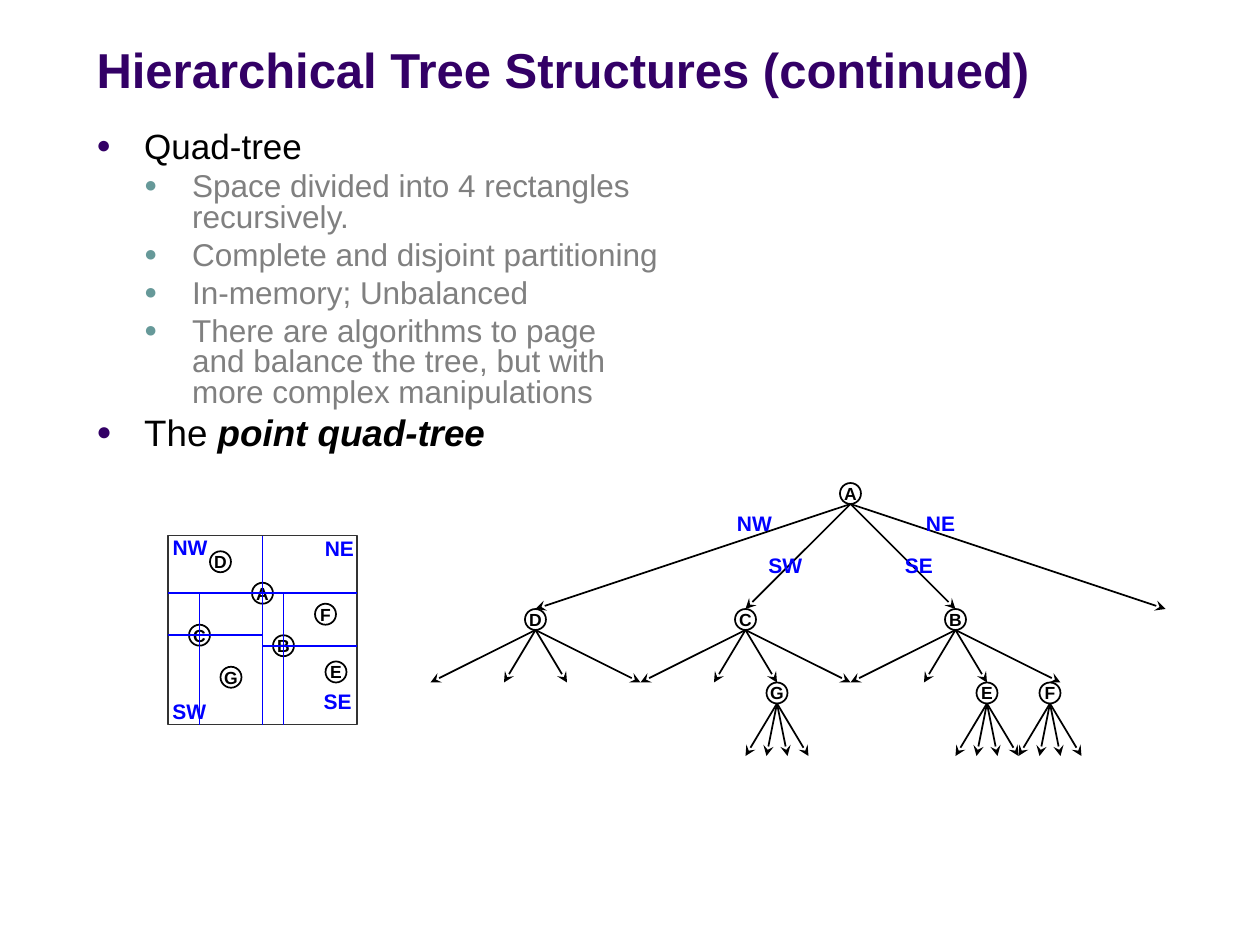
import pptx
import pptx.util
import pptx.dml.color
import pptx.enum.shapes
import pptx.enum.text
import pptx.oxml.ns
from lxml import etree

rgb = pptx.dml.color.RGBColor.from_string
qn = pptx.oxml.ns.qn
Pt = pptx.util.Pt
UNIT = pptx.util.Inches(1) // 12  # the slide is a grid of 120 columns by 90 rows

deck = pptx.Presentation()
deck.slide_width, deck.slide_height = 120 * UNIT, 90 * UNIT
slide = deck.slides.add_slide(deck.slide_layouts[5])
shapes = slide.shapes


def draw_line(start, end, color, arrow=False):
    line = shapes.add_connector(
        pptx.enum.shapes.MSO_CONNECTOR.STRAIGHT, *[int(v * UNIT) for v in (*start, *end)])
    line.line.color.rgb = rgb(color)
    line.line.width = Pt(1)
    if arrow:
        etree.SubElement(line.line._get_or_add_ln(), qn("a:tailEnd"), type="stealth")
    etree.SubElement(line._element.spPr, qn("a:effectLst"))


def draw_node(letter, x, y):
    """Draw a lettered circle centred on column x, row y."""
    node = shapes.add_shape(
        pptx.enum.shapes.MSO_SHAPE.OVAL,
        int((x - 1) * UNIT), int((y - 1) * UNIT), 2 * UNIT, 2 * UNIT)
    node.shadow.inherit = False
    node.fill.background()
    node.line.color.rgb = rgb("000000")
    node.line.width = Pt(1)
    node.text_frame.word_wrap = False
    node.text_frame.vertical_anchor = pptx.enum.text.MSO_ANCHOR.MIDDLE
    caption = node.text_frame.paragraphs[0]
    caption.text = letter
    caption.alignment = pptx.enum.text.PP_ALIGN.CENTER
    caption.font.name, caption.font.size, caption.font.bold = "Arial", Pt(10), True
    caption.font.color.rgb = rgb("000000")


# Title
title = shapes.title
title.left, title.top, title.width, title.height = 8 * UNIT, 4 * UNIT, 99 * UNIT, 6 * UNIT
title.text_frame.vertical_anchor = pptx.enum.text.MSO_ANCHOR.BOTTOM
title.text_frame.auto_size = pptx.enum.text.MSO_AUTO_SIZE.NONE
heading = title.text_frame.paragraphs[0]
heading.text = "Hierarchical Tree Structures (continued)"
heading.alignment = pptx.enum.text.PP_ALIGN.LEFT
heading.font.name, heading.font.size, heading.font.bold = "Arial", Pt(28), True
heading.font.color.rgb = rgb("330066")

# Bullets: level, text, size, space before
points = [
    (0, "Quad-tree", 20, 5),
    (1, "Space divided into 4 rectangles\nrecursively.", 18, 4.5),
    (1, "Complete and disjoint partitioning", 18, 4.5),
    (1, "In-memory; Unbalanced", 18, 4.5),
    (1, "There are algorithms to page\nand balance the tree, but with\nmore complex manipulations",
     18, 4.5),
    (0, "The ", 21, 5.2),
]
level_colors = [("330066", "000000"), ("669999", "808080")]  # bullet, text
body = shapes.add_textbox(8 * UNIT, 12 * UNIT, 90 * UNIT, 34 * UNIT).text_frame
body.word_wrap = True
for number, (level, text, size, space) in enumerate(points):
    point = body.add_paragraph() if number else body.paragraphs[0]
    bullet_color, text_color = level_colors[level]
    point.text = text
    point.level = level
    point.line_spacing = 0.8
    point.space_before = Pt(space)
    indent = pptx.util.Inches(0.38)
    layout = point._p.get_or_add_pPr()
    layout.set("marL", str(indent * (level + 1)))
    layout.set("indent", str(-indent))
    bullet = etree.SubElement(layout, qn("a:buClr"))
    etree.SubElement(bullet, qn("a:srgbClr"), val=bullet_color)
    etree.SubElement(layout, qn("a:buSzPct"), val="70000")
    etree.SubElement(layout, qn("a:buFont"), typeface="Arial")
    etree.SubElement(layout, qn("a:buChar"), char="●")
    point.font.name, point.font.size = "Arial", Pt(size)
    point.font.color.rgb = rgb(text_color)
term = point.add_run()
term.text = "point quad-tree"
term.font.bold = term.font.italic = True

# Partitioned space
space = shapes.add_shape(
    pptx.enum.shapes.MSO_SHAPE.RECTANGLE, 16 * UNIT, 51 * UNIT, 18 * UNIT, 18 * UNIT)
space.shadow.inherit = False
space.fill.background()
space.line.color.rgb = rgb("333333")
space.line.width = Pt(1)

data_points = {"A": (25, 56.5), "D": (21, 53.5), "C": (19, 60.5), "E": (32, 64),
               "B": (27, 61.5), "F": (31, 58.5), "G": (22, 64.5)}
for letter, (x, y) in data_points.items():
    draw_node(letter, x, y)

# Each splitting point cuts its own region: left, right, top
split_row = data_points["A"][1]
for letter, left, right, top in [("A", 16, 34, 51), ("B", 25, 34, split_row),
                                 ("C", 16, 25, split_row)]:
    x, y = data_points[letter]
    draw_line((left, y), (right, y), "0000FF")
    draw_line((x, top), (x, 69), "0000FF")

# Tree: row of the nodes, columns of the nodes, row and offsets of the arrow tips
tree_levels = [
    (47, {"A": 81}, 58, (-30, -10, 10, 30)),
    (59, {"D": 51, "C": 71, "B": 91}, 65, (-10, -3, 3, 10)),
    (66, {"G": 74, "E": 94, "F": 100}, 72, (-3, -1, 1, 3)),
]
for row, columns, tip_row, offsets in tree_levels:
    for letter, column in columns.items():
        draw_node(letter, column, row)
        for offset in offsets:
            draw_line((column, row + 1), (column + offset, tip_row), "000000", arrow=True)

# Quadrant names, in the space and on the branches
label_widths = {"NW": 5.75, "NE": 5.2, "SW": 5.65, "SE": 5.1}
quadrants = [("NW", 15.25, 50.3), ("NE", 29.75, 50.4), ("SW", 15.25, 65.9), ("SE", 29.65, 65),
             ("NW", 69, 48), ("SW", 72, 52), ("SE", 85, 52), ("NE", 87, 48)]
for name, left, top in quadrants:
    label = shapes.add_textbox(*[int(v * UNIT) for v in (left, top, label_widths[name], 3.6)])
    label.text_frame.word_wrap = False
    caption = label.text_frame.paragraphs[0]
    caption.text = name
    caption.font.name, caption.font.size, caption.font.bold = "Arial", Pt(12), True
    caption.font.color.rgb = rgb("0000FF")

deck.save("out.pptx")
